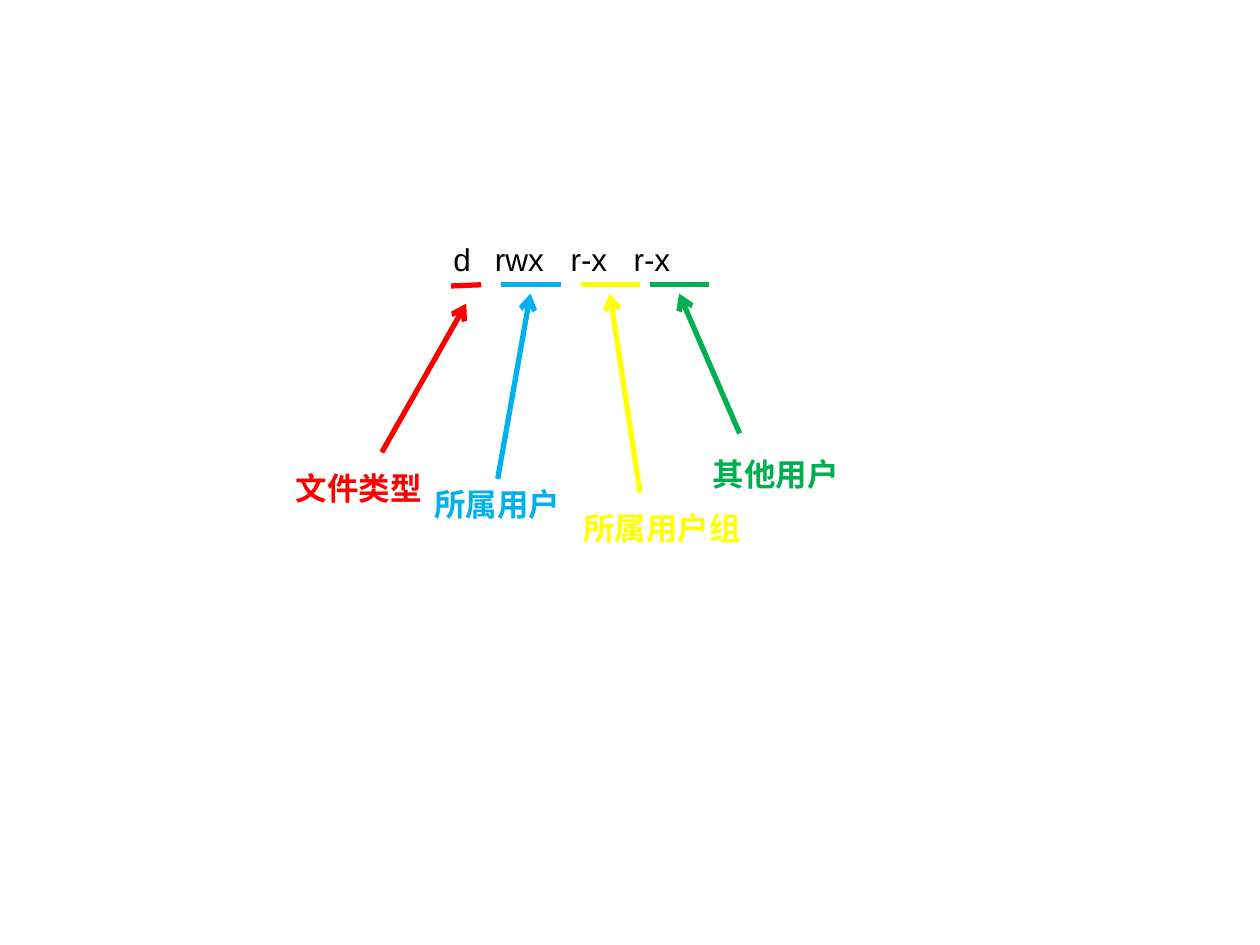
from dataclasses import dataclass

from pptx import Presentation
from pptx.dml.color import RGBColor
from pptx.enum.shapes import MSO_CONNECTOR as Connector
from pptx.enum.text import MSO_AUTO_SIZE as AutoSize
from pptx.oxml.ns import qn
from pptx.util import Inches, Pt
from lxml.etree import SubElement


@dataclass(frozen=True)
class Theme:
    """Colours, type and line sizes of the diagram."""
    font: str = "Arial"
    size: int = 18
    stroke: int = 3
    ink: str = "000000"
    red: str = "FF0000"
    blue: str = "00B0F0"
    yellow: str = "FFFF00"
    green: str = "00B050"


class Sketch:
    """Draws text and lines on a page, on a grid of 100 columns by 75 rows."""

    def __init__(self, deck, theme):
        self.theme = theme
        self.column = deck.slide_width / 100
        self.row = deck.slide_height / 75
        self.page = deck.slides.add_slide(deck.slide_layouts[6])

    def place(self, column, row):
        return round(column * self.column), round(row * self.row)

    def text(self, at, size, words, colour, bold=False, wrap=False, stops=()):
        box = self.page.shapes.add_textbox(*self.place(*at), *self.place(*size))
        frame = box.text_frame
        frame.word_wrap = wrap
        frame.auto_size = AutoSize.SHAPE_TO_FIT_TEXT
        para = frame.paragraphs[0]
        if stops:
            tabs = SubElement(para._p.get_or_add_pPr(), qn("a:tabLst"))
            for stop in stops:
                SubElement(tabs, qn("a:tab"), pos=str(round(stop * self.column)), algn="l")
        span = para.add_run()
        span.text = words
        span.font.name = self.theme.font
        span.font.size = Pt(self.theme.size)
        span.font.bold = bold
        span.font.color.rgb = RGBColor.from_string(colour)

    def line(self, start, end, colour, arrow=False):
        line = self.page.shapes.add_connector(
            Connector.STRAIGHT, *self.place(*start), *self.place(*end))
        line.line.color.rgb = RGBColor.from_string(colour)
        line.line.width = Pt(self.theme.stroke)
        if arrow:
            SubElement(line.line._get_or_add_ln(), qn("a:tailEnd"), type="arrow")
        SubElement(line._element.spPr, qn("a:effectLst"))


def main():
    """Build the file permission slide."""
    deck = Presentation()
    deck.slide_width, deck.slide_height = Inches(10), Inches(7.5)
    theme = Theme()
    sketch = Sketch(deck, theme)

    sketch.text((35, 18.6), (39.1, 4), "\t".join(["d", "rwx", "r-x", "r-x"]),
                theme.ink, wrap=True, stops=(3.3, 9.3, 14.3))

    underlines = [
        (theme.red, (35.8, 22.7), (38.2, 22.6)),
        (theme.blue, (39.8, 22.6), (44.5, 22.6)),
        (theme.yellow, (46.1, 22.6), (50.8, 22.6)),
        (theme.green, (51.6, 22.6), (56.3, 22.6)),
    ]
    for colour, start, end in underlines:
        sketch.line(start, end, colour)

    labels = [
        ("文件类型", theme.red, (22.5, 36.7), 12, (30.3, 35.9), (37, 24.1)),
        ("所属用户", theme.blue, (33.5, 38), 12, (39.5, 38), (42.1, 23.3)),
        ("所属用户组", theme.yellow, (45.3, 39.9), 14.5, (50.8, 39.1), (48.4, 23.3)),
        ("其他用户", theme.green, (55.6, 35.6), 12, (58.7, 34.4), (53.9, 23.3)),
    ]
    for words, colour, at, width, start, end in labels:
        sketch.line(start, end, colour, arrow=True)
        sketch.text(at, (width, 4), words, colour, bold=True)

    deck.save("out.pptx")


if __name__ == "__main__":
    main()
